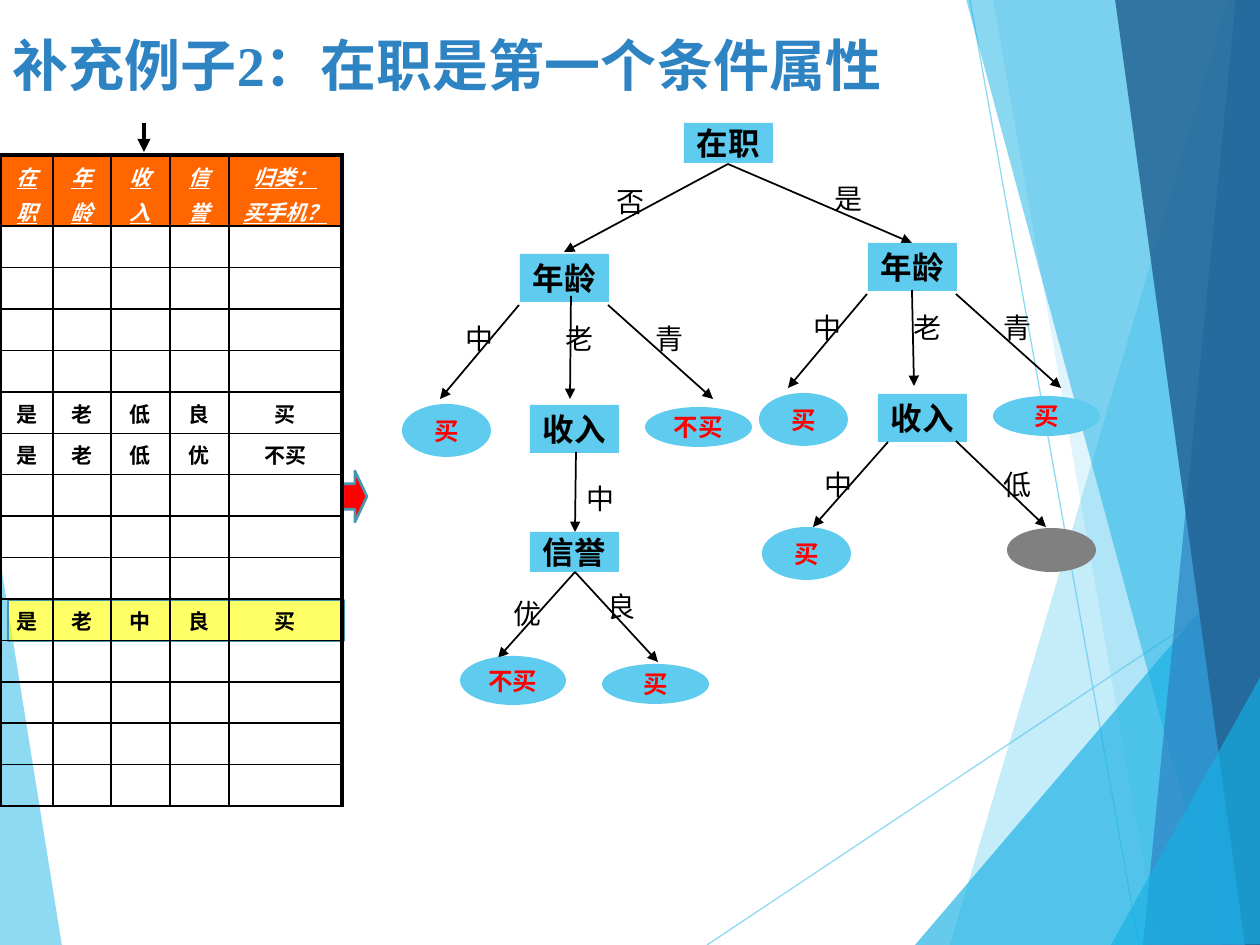
from lxml import etree
from pptx import Presentation
from pptx.dml.color import RGBColor
from pptx.enum.shapes import MSO_CONNECTOR, MSO_SHAPE
from pptx.enum.text import MSO_ANCHOR, MSO_AUTO_SIZE, PP_ALIGN
from pptx.oxml.ns import qn
from pptx.util import Pt

EMU_PER_PX = 914400 / 126
BLACK = RGBColor(0x00, 0x00, 0x00)
WHITE = RGBColor(0xFF, 0xFF, 0xFF)
RED = RGBColor(0xFF, 0x00, 0x00)
YELLOW = RGBColor(0xFF, 0xFF, 0x00)
ORANGE = RGBColor(0xFF, 0x66, 0x00)
GRAY = RGBColor(0x80, 0x80, 0x80)
SKY = RGBColor(0x5F, 0xCB, 0xEF)
CYAN = RGBColor(0x17, 0xB0, 0xE4)
BLUE = RGBColor(0x2E, 0x83, 0xC3)
NAVY = RGBColor(0x22, 0x62, 0x92)
TEAL = RGBColor(0x46, 0x96, 0xB1)
RECT, OVAL, RIGHT_ARROW = MSO_SHAPE.RECTANGLE, MSO_SHAPE.OVAL, MSO_SHAPE.RIGHT_ARROW
STRAIGHT = MSO_CONNECTOR.STRAIGHT
CENTER = PP_ALIGN.CENTER
TOP, MIDDLE = MSO_ANCHOR.TOP, MSO_ANCHOR.MIDDLE

TITLE_FONT = {"name": "Times New Roman", "size": Pt(32), "bold": True}
NODE_FONT = {"name": "Lato", "size": Pt(18), "bold": True}
LEAF_FONT = {"name": "Lato", "size": Pt(14), "bold": True}
LABEL_FONT = {"name": "Times New Roman", "size": Pt(16)}
HEADER_FONT = {"name": "Times New Roman", "size": Pt(12), "bold": True,
               "italic": True, "underline": True}
CELL_FONT = {"name": "Arial", "size": Pt(12), "bold": True}

FACETS_BACK = [([(-1, 553), (62, 946), (-1, 945)], SKY, 70)]
FACETS_FRONT = [
    ([(1228, 0), (950, 945), (1262, 946), (1261, 1)], SKY, 36),
    ([(993, -1), (1158, 945), (1261, 945), (1261, -1)], SKY, 20),
    ([(915, 945), (1260, 541), (1261, 945)], CYAN, 66),
    ([(966, -1), (1222, 945), (1261, 944), (1261, -1)], CYAN, 50),
    ([(1236, -1), (1143, 945), (1261, 945), (1260, -1)], BLUE, 70),
    ([(1115, -1), (1245, 945), (1262, 945), (1260, -1)], NAVY, 82),
    ([(1111, 945), (1262, 674), (1262, 944)], CYAN, 66),
]
COLUMN_WIDTHS = [52, 58, 59, 59, 113]
HEADER_HEIGHT, BODY_HEIGHT, BODY_ROWS = 71, 580, 14
HEADERS = ["在\n职", "年\n龄", "收\n入", "信\n誉", "归类：\n买手机？"]
RECORDS = {5: ["是", "老", "低", "良", "买"],
           6: ["是", "老", "低", "优", "不买"],
           10: ["是", "老", "中", "良", "买"]}


def px(length):
    return round(length * EMU_PER_PX)


def write(frame, text, font, color, align=CENTER):
    """Fill a text frame, one paragraph per line of text."""
    frame.text = text
    for index, paragraph in enumerate(frame.paragraphs):
        paragraph.alignment = align
        if index:
            paragraph.space_before = Pt(2.4)
        for run in paragraph.runs:
            for name, value in font.items():
                setattr(run.font, name, value)
            run.font.color.rgb = color


def set_opacity(shape, percent):
    for color in shape._element.spPr.iter(qn("a:srgbClr")):
        etree.SubElement(color, qn("a:alpha"), val=str(percent * 1000))


def add_facets(slide, facets):
    for points, color, opacity in facets:
        builder = slide.shapes.build_freeform(*points[0], scale=EMU_PER_PX)
        builder.add_line_segments(points[1:], close=True)
        shape = builder.convert_to_shape()
        shape.shadow.inherit = False
        shape.fill.solid()
        shape.fill.fore_color.rgb = color
        set_opacity(shape, opacity)
        shape.line.fill.background()


def add_line(slide, start, end, color=BLACK, width=1):
    line = slide.shapes.add_connector(STRAIGHT, *map(px, (*start, *end)))
    line.line.color.rgb = color
    line.line.width = Pt(width)
    etree.SubElement(line._element.spPr, qn("a:effectLst"))
    return line


def add_arrow(slide, start, end, width=1):
    line = add_line(slide, start, end, width=width)
    etree.SubElement(line.line._get_or_add_ln(), qn("a:tailEnd"), type="triangle")


def add_figure(slide, kind, box, fill, opacity=100, outline=None):
    shape = slide.shapes.add_shape(kind, *map(px, box))
    shape.shadow.inherit = False
    shape.fill.solid()
    shape.fill.fore_color.rgb = fill
    if opacity < 100:
        set_opacity(shape, opacity)
    if outline is None:
        shape.line.fill.background()
    else:
        shape.line.color.rgb = outline
        shape.line.width = Pt(1.5)
    return shape


def add_node(slide, left, top, text, height=48):
    """Add an attribute box of the decision tree."""
    shape = add_figure(slide, RECT, (left, top, 89, height), SKY)
    shape.text_frame.word_wrap = False
    shape.text_frame.vertical_anchor = MIDDLE
    write(shape.text_frame, text, NODE_FONT, BLACK)


def add_leaf(slide, left, top, text, width=107, height=40):
    """Add a decision oval of the decision tree."""
    shape = add_figure(slide, OVAL, (left, top, width, height), SKY)
    shape.text_frame.word_wrap = False
    shape.text_frame.vertical_anchor = MIDDLE
    write(shape.text_frame, text, LEAF_FONT, RED)


def add_label(slide, left, top, text):
    box = slide.shapes.add_textbox(*map(px, (left, top, 79, 47)))
    box.text_frame.word_wrap = True
    box.text_frame.auto_size = MSO_AUTO_SIZE.SHAPE_TO_FIT_TEXT
    write(box.text_frame, text, LABEL_FONT, BLACK)


def add_age_branch(slide, left, top, middle_arrow, first_leaf_left, last_decision):
    """Add an age node with its three branches."""
    add_arrow(slide, (left - 1, top + 51), (left - 80, top + 145))
    add_arrow(slide, (left + 88, top + 51), (left + 193, top + 145))
    add_node(slide, left, top, "年龄")
    add_arrow(slide, *middle_arrow)
    for offset, text in [(-80, "中"), (20, "老"), (110, "青")]:
        add_label(slide, left + offset, top + 61, text)
    add_node(slide, left + 10, top + 151, "收入")
    add_leaf(slide, first_leaf_left, top + 150, "买", 89, 53)
    add_leaf(slide, left + 125, top + 153, last_decision)


def set_borders(cell, widths):
    properties = cell._tc.get_or_add_tcPr()
    for side, width in widths.items():
        line = etree.SubElement(properties, qn(f"a:{side}"), w=str(Pt(width)))
        fill = etree.SubElement(line, qn("a:solidFill"))
        etree.SubElement(fill, qn("a:srgbClr"), val=str(BLACK))


def add_records_table(slide):
    columns = len(COLUMN_WIDTHS)
    box = (1, 155, sum(COLUMN_WIDTHS), HEADER_HEIGHT + BODY_HEIGHT)
    table = slide.shapes.add_table(BODY_ROWS + 1, columns, *map(px, box)).table
    table.first_row = table.horz_banding = False
    for column, width in zip(table.columns, COLUMN_WIDTHS):
        column.width = px(width)
    for r, row in enumerate(table.rows):
        row.height = px(BODY_HEIGHT / BODY_ROWS if r else HEADER_HEIGHT)
        texts = RECORDS.get(r, [""] * columns) if r else HEADERS
        for c, (cell, text) in enumerate(zip(row.cells, texts)):
            cell.margin_top, cell.margin_bottom = px(6), 0
            set_borders(cell, {"lnL": 1, "lnR": 2.25 if c == columns - 1 else 1,
                               "lnT": 1 if r else 2.25, "lnB": 1})
            if r:
                cell.fill.background()
                write(cell.text_frame, text, CELL_FONT, BLACK)
            else:
                cell.fill.solid()
                cell.fill.fore_color.rgb = ORANGE
                write(cell.text_frame, text, HEADER_FONT, WHITE)
            if not text:
                paragraph = cell.text_frame.paragraphs[0]
                etree.SubElement(paragraph._p, qn("a:endParaRPr"), sz="1200")


def add_title(slide):
    title = slide.shapes.title
    title.left, title.top, title.width, title.height = map(px, (0, 24, 1084, 67))
    title.text_frame.vertical_anchor = TOP
    write(title.text_frame, "补充例子2：在职是第一个条件属性", TITLE_FONT, BLUE, PP_ALIGN.LEFT)


def add_tree(slide):
    add_node(slide, 684, 123, "在职", 40)
    add_arrow(slide, (728, 164), (564, 252))
    add_arrow(slide, (728, 164), (912, 243))
    add_age_branch(slide, 868, 243, ((912, 290), (914, 386)), 759, "买")
    add_age_branch(slide, 520, 254, ((571, 296), (570, 399)), 402, "不买")

    add_arrow(slide, (888, 442), (813, 527))
    add_arrow(slide, (956, 441), (1046, 527))
    add_leaf(slide, 762, 527, "买", 89, 53)
    add_figure(slide, OVAL, (1007, 528, 89, 44), GRAY)

    add_arrow(slide, (576, 452), (575, 532))
    add_node(slide, 530, 532, "信誉", 40)
    add_arrow(slide, (575, 572), (498, 658))
    add_arrow(slide, (575, 572), (658, 662))
    add_leaf(slide, 460, 656, "不买", 106, 49)
    add_leaf(slide, 602, 664, "买")

    for left, top, text in [(591, 178, "否"), (809, 175, "是"), (799, 461, "中"),
                            (978, 461, "低"), (561, 475, "中"), (582, 583, "良"),
                            (488, 590, "优")]:
        add_label(slide, left, top, text)


def main():
    presentation = Presentation()
    presentation.slide_width, presentation.slide_height = px(1260), px(945)
    slide = presentation.slides.add_slide(presentation.slide_layouts[5])
    add_facets(slide, FACETS_BACK)
    for start, end in [((707, 945), (1261, 576)), ((970, 0), (1139, 945))]:
        set_opacity(add_line(slide, start, end, SKY, 0.75), 70)
    add_facets(slide, FACETS_FRONT)
    add_title(slide)
    add_figure(slide, RIGHT_ARROW, (343, 471, 24, 51), RED, outline=TEAL)
    add_arrow(slide, (144, 123), (144, 152), 2.5)
    add_figure(slide, RECT, (8, 600, 336, 41), YELLOW, 60, TEAL)
    add_records_table(slide)
    add_tree(slide)
    presentation.save("out.pptx")


if __name__ == "__main__":
    main()
